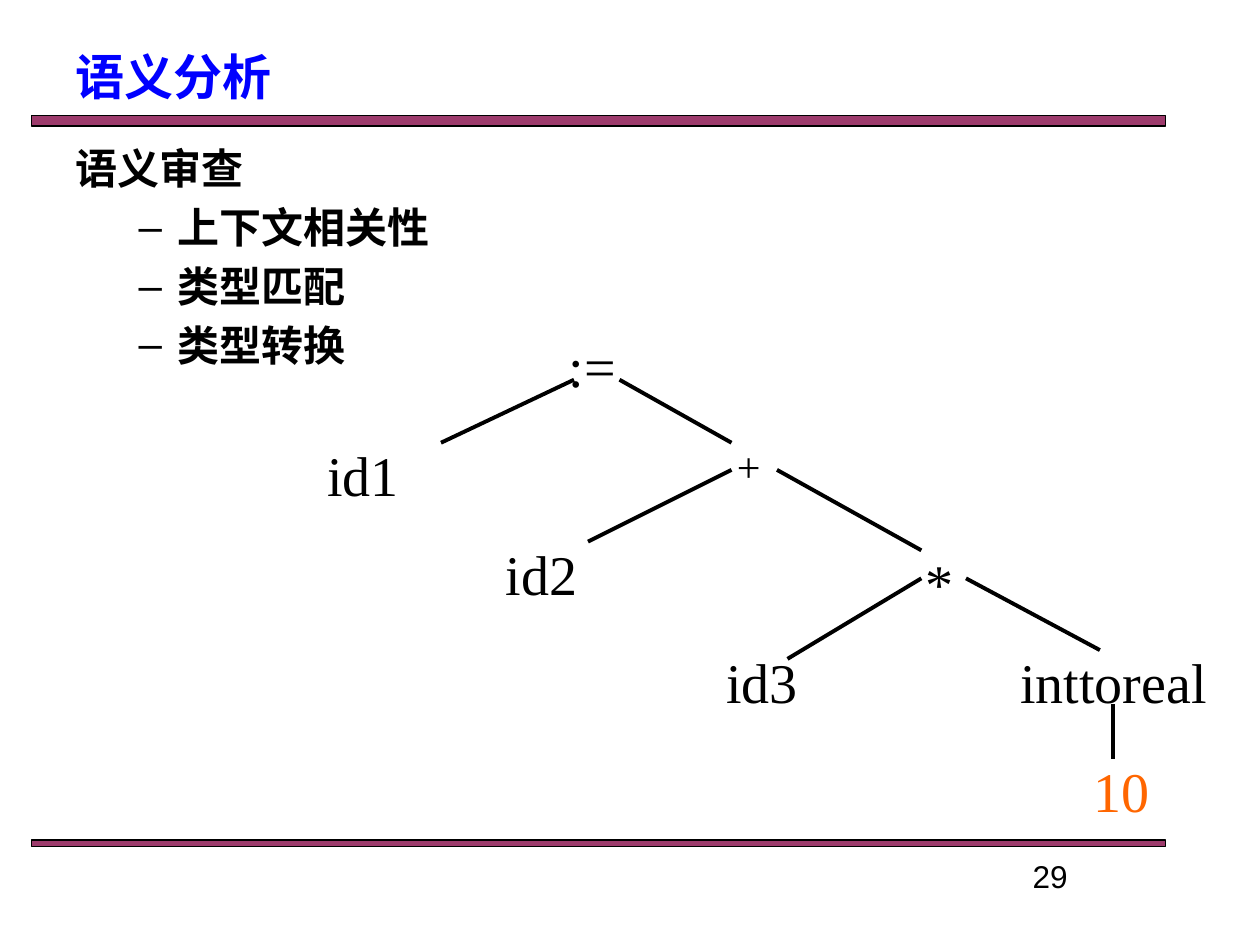
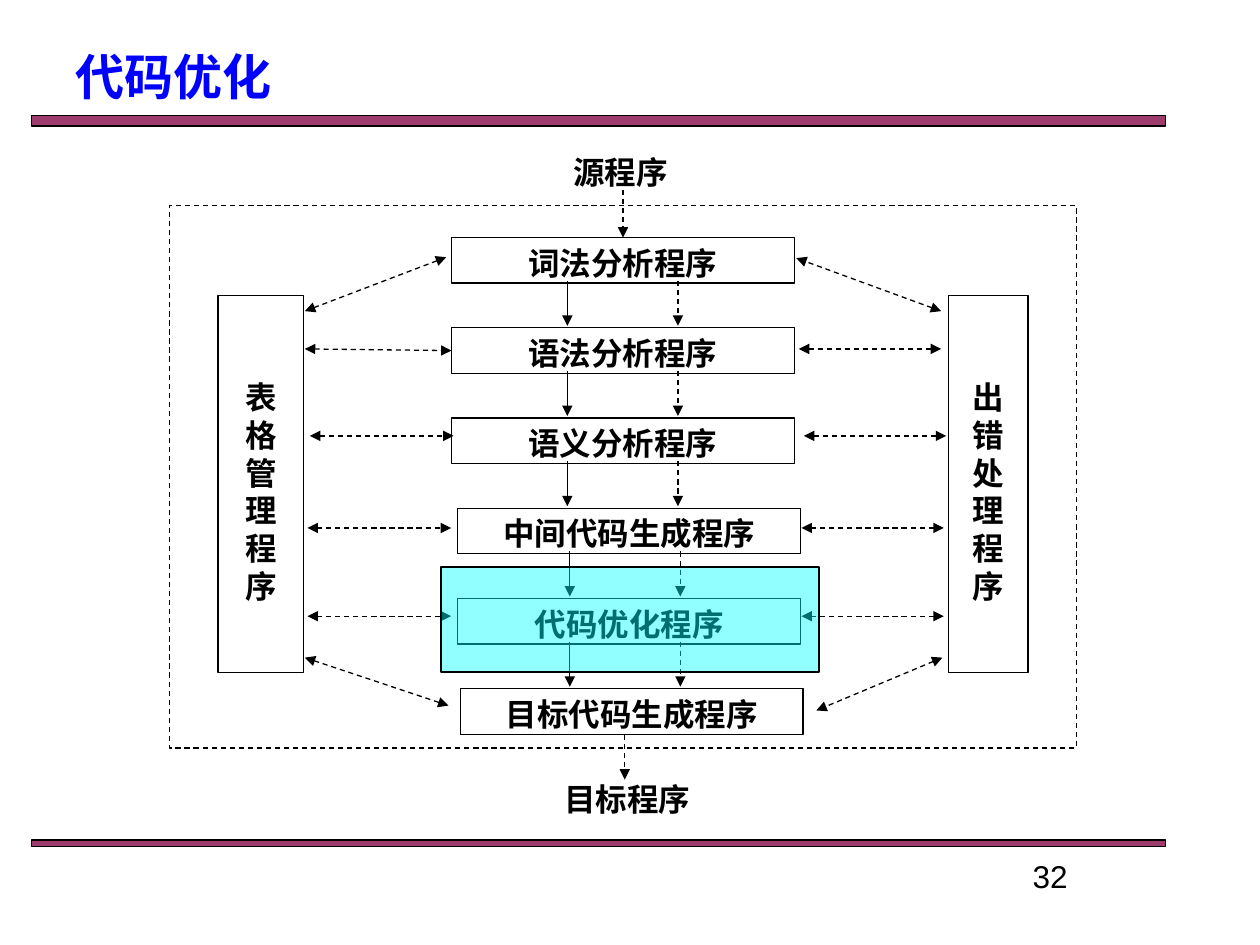
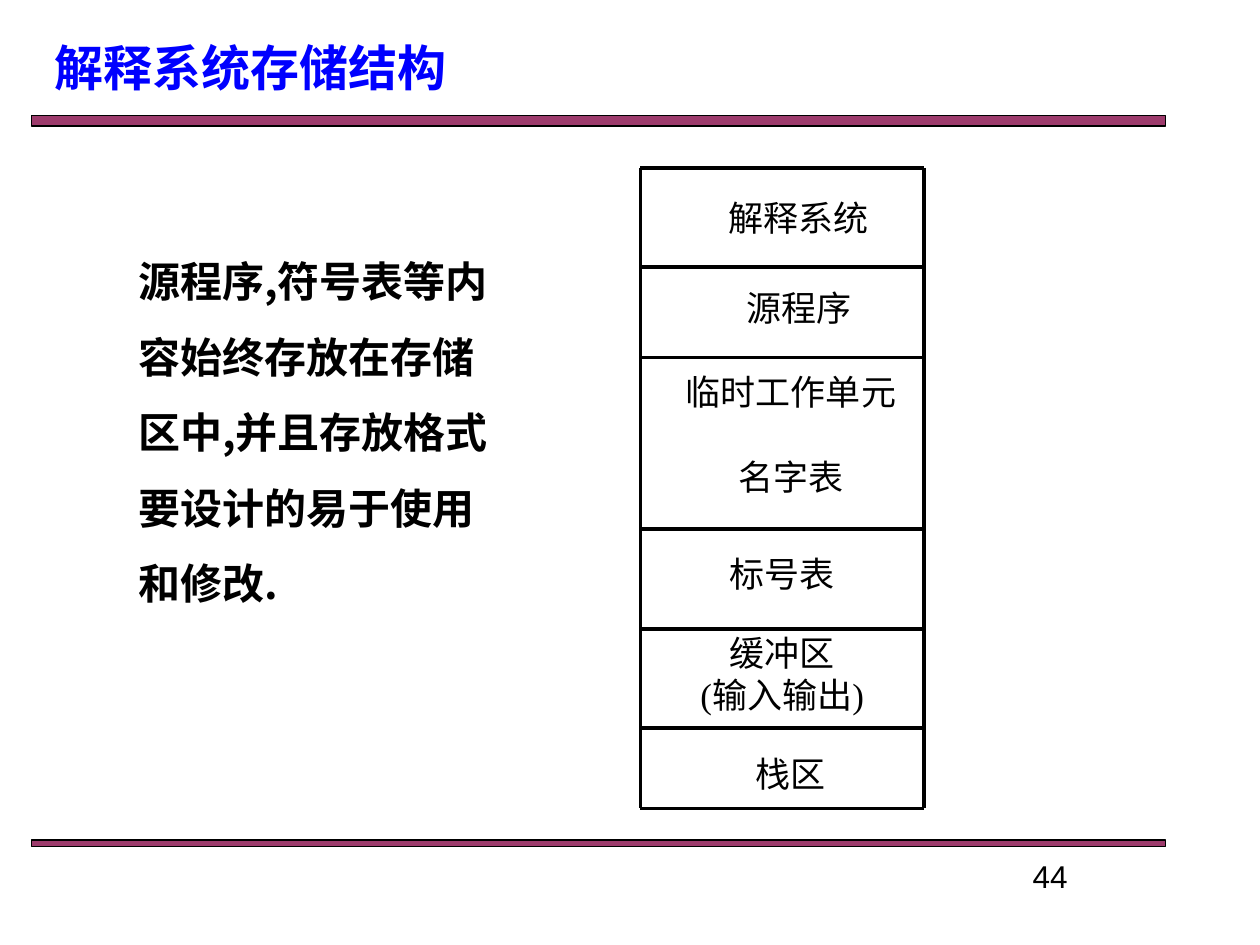
from lxml.etree import SubElement
from pptx import Presentation
from pptx.dml.color import RGBColor
from pptx.enum.dml import MSO_LINE
from pptx.enum.shapes import MSO_CONNECTOR, MSO_SHAPE
from pptx.enum.text import MSO_ANCHOR, MSO_AUTO_SIZE, PP_ALIGN
from pptx.oxml.ns import qn
from pptx.util import Pt

COLORS = {"ink": "000000", "title": "0000FF", "band": "993366", "paper": "FFFFFF",
          "glow": "00FFFF", "leaf": "FF6600"}
SERIF, SANS, PAGE = "Times New Roman", "Noto Sans CJK SC", "Arial"
LEFT, CENTER = PP_ALIGN.LEFT, PP_ALIGN.CENTER
TOP, MIDDLE = MSO_ANCHOR.TOP, MSO_ANCHOR.MIDDLE


def color(name):
    return RGBColor.from_string(COLORS[name])


class Deck:
    """Holds the shared style and the slide being built."""

    def __init__(self):
        self.prs = Presentation()
        self.prs.slide_width, self.prs.slide_height = Pt(720), Pt(540)

    def start(self, title, page, layout=5, box=(36, 30, 648, 27), anchor=MIDDLE):
        """Add a slide with its bands, title and page number."""
        self.slide = self.prs.slides.add_slide(self.prs.slide_layouts[layout])
        self.shapes = self.slide.shapes
        self.rect((18, 66, 648, 6), "band", alpha=96)
        self.rect((18, 480, 648, 3.75), "band", alpha=96)
        head = self.place(self.shapes.title, box)
        self.label(head, [title], 28, SANS, "title", True, anchor=anchor)
        self.text((516, 486, 168, 30), [str(page)], 18, PAGE, align=CENTER)

    def place(self, shape, box):
        shape.left, shape.top, shape.width, shape.height = map(Pt, box)
        return shape

    def label(self, shape, lines, size, font=SERIF, ink="ink", bold=False,
              align=LEFT, anchor=TOP, wrap=True, gap=0, pitch=None):
        frame = shape.text_frame
        frame.text = "\n".join(lines)
        frame.word_wrap, frame.vertical_anchor = wrap, anchor
        frame.auto_size = MSO_AUTO_SIZE.NONE
        for i, para in enumerate(frame.paragraphs):
            para.alignment = align
            para.space_before = Pt(gap if i else 0)
            if pitch:
                para.line_spacing = pitch
            para.font.size, para.font.name, para.font.bold = Pt(size), font, bold
            para.font.color.rgb = color(ink)

    def text(self, box, lines, size, font=SERIF, **style):
        shape = self.shapes.add_textbox(*map(Pt, box))
        self.label(shape, lines, size, font, **style)

    def rect(self, box, fill=None, line="ink", width=0.75, alpha=None, dash=False):
        shape = self.shapes.add_shape(MSO_SHAPE.RECTANGLE, *map(Pt, box))
        shape.shadow.inherit = False
        if fill:
            shape.fill.solid()
            shape.fill.fore_color.rgb = color(fill)
        else:
            shape.fill.background()
        if alpha:
            tint = shape._element.spPr.find(f".//{qn('a:srgbClr')}")
            SubElement(tint, qn("a:alpha"), val=str(alpha * 1000))
        shape.line.color.rgb, shape.line.width = color(line), Pt(width)
        if dash:
            shape.line.dash_style = MSO_LINE.DASH
        return shape

    def line(self, start, end, width=2.25, dash=False, heads=()):
        """Draw a straight line; heads lists "headEnd" and/or "tailEnd"."""
        link = self.shapes.add_connector(MSO_CONNECTOR.STRAIGHT, *map(Pt, start + end))
        link.line.color.rgb, link.line.width = color("ink"), Pt(width)
        if dash:
            link.line.dash_style = MSO_LINE.DASH
        for head in heads:
            SubElement(link.line._get_or_add_ln(), qn(f"a:{head}"), type="triangle")
        SubElement(link._element.spPr, qn("a:effectLst"))
        return link

    def arrow(self, start, end, dash=True):
        return self.line(start, end, 0.75, dash, ["tailEnd"])

    def both(self, start, end):
        return self.line(start, end, 0.75, True, ["headEnd", "tailEnd"])

    def points(self, box, head, items):
        """Fill the body placeholder with a heading and dashed items."""
        body = self.place(self.slide.placeholders[1], box)
        body.text_frame.text = "\n".join([head] + items)
        for i, para in enumerate(body.text_frame.paragraphs):
            para.level = min(i, 1)
            props = para._p.get_or_add_pPr()
            left, hang = (58.5, 22.5) if i else (27, 27)
            props.set("marL", str(Pt(left)))
            props.set("indent", str(-Pt(hang)))
            if i:
                SubElement(props, qn("a:buChar"), char="–")
            else:
                SubElement(props, qn("a:buNone"))
            para.space_before = Pt(4.8 if i else 0)
            para.font.size, para.font.name, para.font.bold = Pt(24), SERIF, True
            para.font.color.rgb = color("ink")
        body.text_frame.auto_size = MSO_AUTO_SIZE.NONE


def check(deck):
    deck.start("语义分析", 29, layout=1)
    deck.points((36, 78, 612, 162), "语义审查", ["上下文相关性", "类型匹配", "类型转换"])
    nodes = [
        (":=", 318, 186, 51, 39), ("+", 414, 248, 51, 31), ("*", 522, 310, 51, 39),
        ("id1", 180, 248, 127, 52), ("id2", 282, 305, 95, 52), ("id3", 408, 366.5, 70, 52),
        ("inttoreal", 576, 366.5, 126, 39), ("10", 618, 428.5, 48, 39),
    ]
    for name, *box in nodes:
        deck.text(box, [name], 24 if name == "+" else 32,
                  ink="leaf" if name == "10" else "ink")
    edges = [
        ((328, 217), (252, 253)), ((354, 217), (418, 253)),
        ((418, 268.5), (336, 309.5)), ((444, 268.5), (526.5, 314.5)),
        ((526.5, 330.5), (450, 376.5)), ((552, 330.5), (628.5, 371.5)),
        ((636, 402.5), (636, 433.5)),
    ]
    for start, end in edges:
        deck.line(start, end)


def tune(deck):
    deck.start("代码优化", 32)
    bold = {"bold": True, "align": CENTER}
    step, high = 51.55, 26
    deck.text((256.5, 84, 196, high), ["源程序"], 18, **bold)
    deck.text((260.5, 442, 196, high), ["目标程序"], 18, **bold)

    stages = [("词法分析程序", 258), ("语法分析程序", 258), ("语义分析程序", 258),
              ("中间代码生成程序", 261.5), ("代码优化程序", 261.5), ("目标代码生成程序", 263)]
    boxes = []
    for i, (name, left) in enumerate(stages):
        box = deck.rect((left, 135.8 + i * step, 196, high), "paper")
        deck.label(box, [name], 18, **bold)
        boxes.append(box)
    for name, left, width in [("表格管理程序", 124.5, 49), ("出错处理程序", 542, 45.5)]:
        side = deck.rect((left, 169, width, 215.5), "paper")
        deck.label(side, [name], 18, **bold)
        side.text_frame.margin_top = Pt(47)

    deck.arrow((356, 108.5), (356, 135)).end_connect(boxes[0], 0)
    deck.arrow((357, 420), (357, 445.5))
    for i in range(len(stages) - 1):
        top, shift = 160.5 + i * step, 1.4 if i > 2 else 0
        for left, dash in [(324.2, False), (387.4, True)]:
            deck.arrow((left + shift, top), (left + shift, top + 25.7), dash)

    rows = [(199.4, 0), (249.1, 2.9), (301.7, 1.5), (352.1, 1.5)]
    for i, (y, shift) in enumerate(rows):
        link = deck.both((174.2 + shift, y), (256.3 + shift, y))
        if i == 0:
            link.end_connect(boxes[1], 1)
        deck.both((456.5 + shift, y), (537.8 + shift, y))
    for start, end in [((174.2, 177.8), (255, 147)), ((174.2, 375.8), (256.3, 403.2)),
                       ((537.8, 177.8), (455, 147.5)), ((538.5, 375.8), (466.5, 406))]:
        deck.both(start, end)
    deck.rect((97, 117.5, 518, 310), dash=True)
    deck.rect((252, 324, 216, 60), "glow", alpha=43)


def store(deck):
    deck.start("解释系统存储结构", 44, box=(24, 18, 588, 48), anchor=TOP)
    left, right, top, base = 366, 528, 96, 462
    for x in (left, right):
        deck.line((x, top), (x, base))
    for y in (top, 152.6, 204.3, 302.3, 359.3, 416, base):
        deck.line((left, y), (right, y))
    cells = [
        (["解释系统"], 428, 111.5, 26, 0), (["源程序"], 428, 163, 26, 0),
        (["临时工作单元", "名字表"], 423.5, 214.5, 67, 24), (["标号表"], 418.5, 312.5, 31, 0),
        (["缓冲区", "(输入输出)"], 418.5, 369.5, 31, 0), (["栈区"], 423.5, 431.5, 21, 0),
    ]
    for lines, x, y, high, gap in cells:
        cell = deck.rect((x, y, 57, high), "paper", "paper", 2.25)
        deck.label(cell, lines, 20, align=CENTER, anchor=MIDDLE, wrap=False, gap=gap)
    deck.text((72, 128, 224, 225.5),
              ["源程序,符号表等内容始终存放在存储区中,并且存放格式要设计的易于使用和修改."],
              24, SANS, bold=True, pitch=1.5)


def main():
    deck = Deck()
    for build in (check, tune, store):
        build(deck)
    deck.prs.save("out.pptx")


if __name__ == "__main__":
    main()
